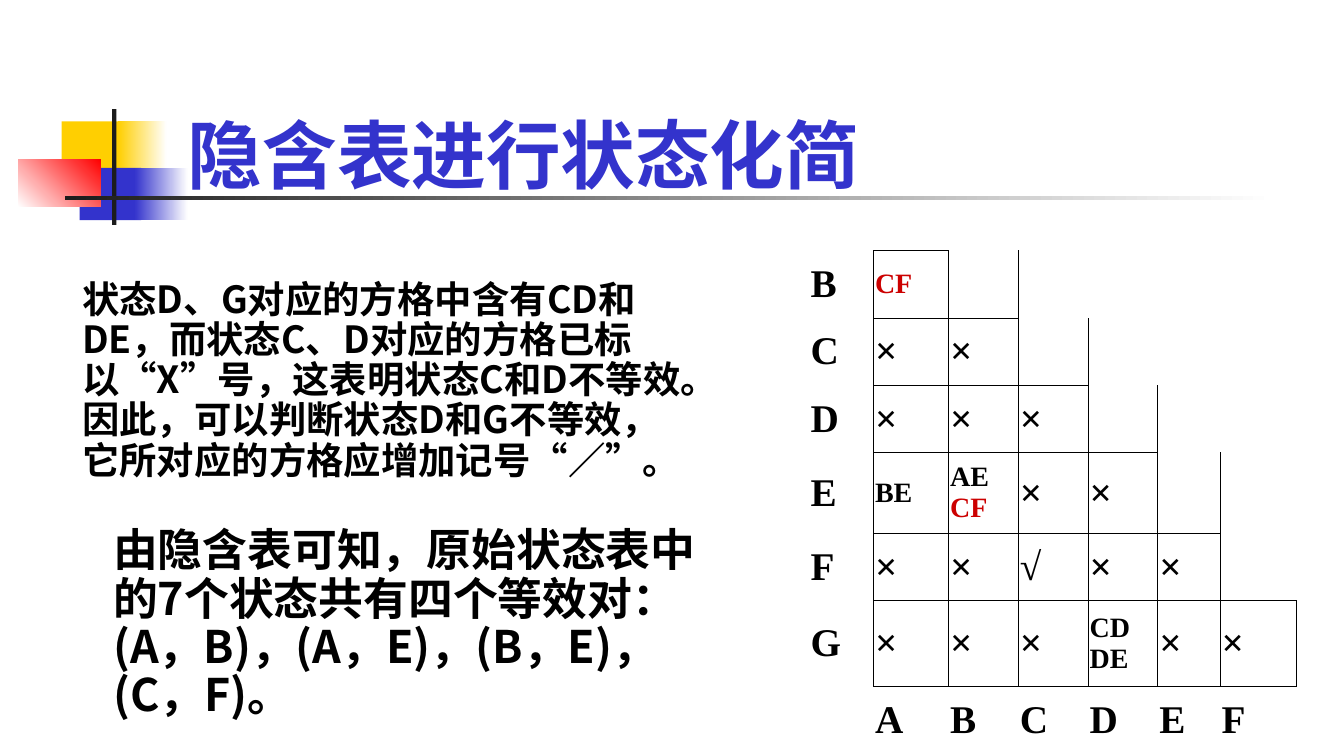
from dataclasses import dataclass

from lxml.etree import SubElement
from pptx import Presentation
from pptx.dml.color import RGBColor
from pptx.enum.shapes import MSO_SHAPE as Shape
from pptx.enum.text import MSO_ANCHOR as Anchor, MSO_AUTO_SIZE as AutoSize
from pptx.oxml import parse_xml
from pptx.oxml.ns import nsdecls, qn
from pptx.util import Pt


@dataclass(frozen=True)
class Theme:
    blue: str = "3333CC"
    yellow: str = "FFCF01"
    red: str = "FF0000"
    dark: str = "1C1C1C"
    white: str = "FFFFFF"
    ink: str = "000000"
    marked: str = "CC0000"
    title_font: str = "Lato"
    body_font: str = "Noto Sans CJK SC"
    table_font: str = "Times New Roman"
    title_size: int = 40
    conclusion_size: int = 24
    body_size: int = 20
    symbol_size: int = 21
    pair_size: int = 15
    border: float = 0.45


NO_TABLE_STYLE = "{2D5ABB26-0587-4C30-8999-92F81FD0307C}"
COLUMN_WIDTHS = [34.5, 40.2, 37.4, 37.4, 37.4, 33.3, 41.2]
ROW_HEIGHTS = [36.2, 36, 36, 43.4, 36, 46, 36]
# A cell is a list of text parts; "CF" is the pair marked in red.
IMPLICATION_ROWS = [
    [["B"], ["CF"]],
    [["C"], ["×"], ["×"]],
    [["D"], ["×"], ["×"], ["×"]],
    [["E"], ["BE"], ["AE", "CF"], ["×"], ["×"]],
    [["F"], ["×"], ["×"], ["√"], ["×"], ["×"]],
    [["G"], ["×"], ["×"], ["×"], ["CDDE"], ["×"], ["×"]],
    [[], ["A"], ["B"], ["C"], ["D"], ["E"], ["F"]],
]


def in_staircase(row, column):
    return 0 <= row < 6 and 1 <= column <= row + 1


class SlideBuilder:
    def __init__(self, slide, theme):
        self.slide = slide
        self.theme = theme

    def style(self, paragraph, size, color, font_name, east_asian):
        font = paragraph.font
        font.size = Pt(size)
        font.bold = True
        font.color.rgb = RGBColor.from_string(color)
        font.name = font_name
        defaults = paragraph._p.pPr.find(qn("a:defRPr"))
        SubElement(defaults, qn("a:ea")).set("typeface", east_asian)

    def block(self, left, top, width, height, start, end=None, angle=0):
        """Draw a rectangle, plain or fading from start to end."""
        block = self.slide.shapes.add_shape(
            Shape.RECTANGLE, Pt(left), Pt(top), Pt(width), Pt(height))
        block.shadow.inherit = False
        block.line.fill.background()
        if end is None:
            block.fill.solid()
            block.fill.fore_color.rgb = RGBColor.from_string(start)
            return
        block.fill.gradient()
        block.fill.gradient_angle = angle
        for stop, color, position in zip(block.fill.gradient_stops, (start, end), (0, 1)):
            stop.color.rgb = RGBColor.from_string(color)
            stop.position = position

    def text(self, left, top, width, height, words, size, color, font_name, indent=0):
        box = self.slide.shapes.add_textbox(Pt(left), Pt(top), Pt(width), Pt(height))
        frame = box.text_frame
        frame.word_wrap = True
        frame.auto_size = AutoSize.SHAPE_TO_FIT_TEXT if indent else AutoSize.NONE
        frame.vertical_anchor = Anchor.TOP if indent else Anchor.MIDDLE
        paragraph = frame.paragraphs[0]
        paragraph.text = words
        paragraph.line_spacing = 0.9
        properties = paragraph._p.get_or_add_pPr()
        properties.set("marL", str(Pt(indent)))
        properties.set("indent", "0")
        self.style(paragraph, size, color, font_name, self.theme.body_font)

    def cell_borders(self, cell, row, column):
        """Outline the sides that touch the staircase."""
        neighbours = {"L": (row, column - 1), "R": (row, column + 1),
                      "T": (row - 1, column), "B": (row + 1, column)}
        properties = cell._tc.get_or_add_tcPr()
        own = in_staircase(row, column)
        sides = [side for side, place in neighbours.items() if own or in_staircase(*place)]
        for index, side in enumerate(sides):
            properties.insert(index, parse_xml(
                f'<a:ln{side} {nsdecls("a")} w="{Pt(self.theme.border)}"><a:solidFill>'
                f'<a:srgbClr val="{self.theme.ink}"/></a:solidFill></a:ln{side}>'))

    def cell_text(self, cell, parts):
        theme = self.theme
        cell.vertical_anchor = Anchor.MIDDLE
        cell.margin_left = Pt(0.9)
        paragraph = cell.text_frame.paragraphs[0]
        for part in parts:
            run = paragraph.add_run()
            run.text = part
            if part == "CF":
                run.font.color.rgb = RGBColor.from_string(theme.marked)
        size = theme.symbol_size if len("".join(parts)) < 2 else theme.pair_size
        self.style(paragraph, size, theme.ink, theme.table_font, theme.table_font)

    def implication_table(self, left, top):
        table = self.slide.shapes.add_table(
            len(ROW_HEIGHTS), len(COLUMN_WIDTHS), Pt(left), Pt(top),
            Pt(sum(COLUMN_WIDTHS)), Pt(sum(ROW_HEIGHTS))).table
        table.first_row = table.horz_banding = False
        table._tbl.tblPr.find(qn("a:tableStyleId")).text = NO_TABLE_STYLE
        for column, width in zip(table.columns, COLUMN_WIDTHS):
            column.width = Pt(width)
        for r, height in enumerate(ROW_HEIGHTS):
            table.rows[r].height = Pt(height)
            for c in range(len(COLUMN_WIDTHS)):
                cell = table.cell(r, c)
                cell.fill.background()
                self.cell_borders(cell, r, c)
                if c < len(IMPLICATION_ROWS[r]) and IMPLICATION_ROWS[r][c]:
                    self.cell_text(cell, IMPLICATION_ROWS[r][c])


def main():
    theme = Theme()
    deck = Presentation()
    deck.slide_width, deck.slide_height = Pt(720), Pt(405)
    builder = SlideBuilder(deck.slides.add_slide(deck.slide_layouts[6]), theme)

    builder.block(33, 65, 34.5, 28, theme.yellow)
    builder.block(63.3, 65, 26, 28, theme.yellow, theme.white)
    builder.block(42.7, 90, 33, 28, theme.blue)
    builder.block(72, 90, 28.6, 28, theme.blue, theme.white)
    builder.block(9.8, 85.4, 44.2, 25.5, theme.white, theme.red, angle=45)
    builder.block(60, 58.5, 2.3, 62, theme.dark)
    builder.block(34.8, 105, 648, 2.2, theme.dark, theme.white)

    builder.text(93.6, 62, 612, 46.8, "隐含表进行状态化简",
                 theme.title_size, theme.blue, theme.title_font)
    builder.text(14.4, 146.9, 360, 136.8,
                 "状态D、G对应的方格中含有CD和DE，而状态C、D对应的方格已标以“X”号，"
                 "这表明状态C和D不等效。因此，可以判断状态D和G不等效，"
                 "它所对应的方格应增加记号“／”。",
                 theme.body_size, theme.ink, theme.body_font, indent=22.5)
    builder.implication_table(433.4, 134.2)
    builder.text(31, 279.4, 360, 110.9,
                 "由隐含表可知，原始状态表中的7个状态共有四个等效对："
                 "(A，B)，(A，E)，(B，E)，(C，F)。",
                 theme.conclusion_size, theme.ink, theme.body_font, indent=22.5)

    deck.save("out.pptx")


if __name__ == "__main__":
    main()
